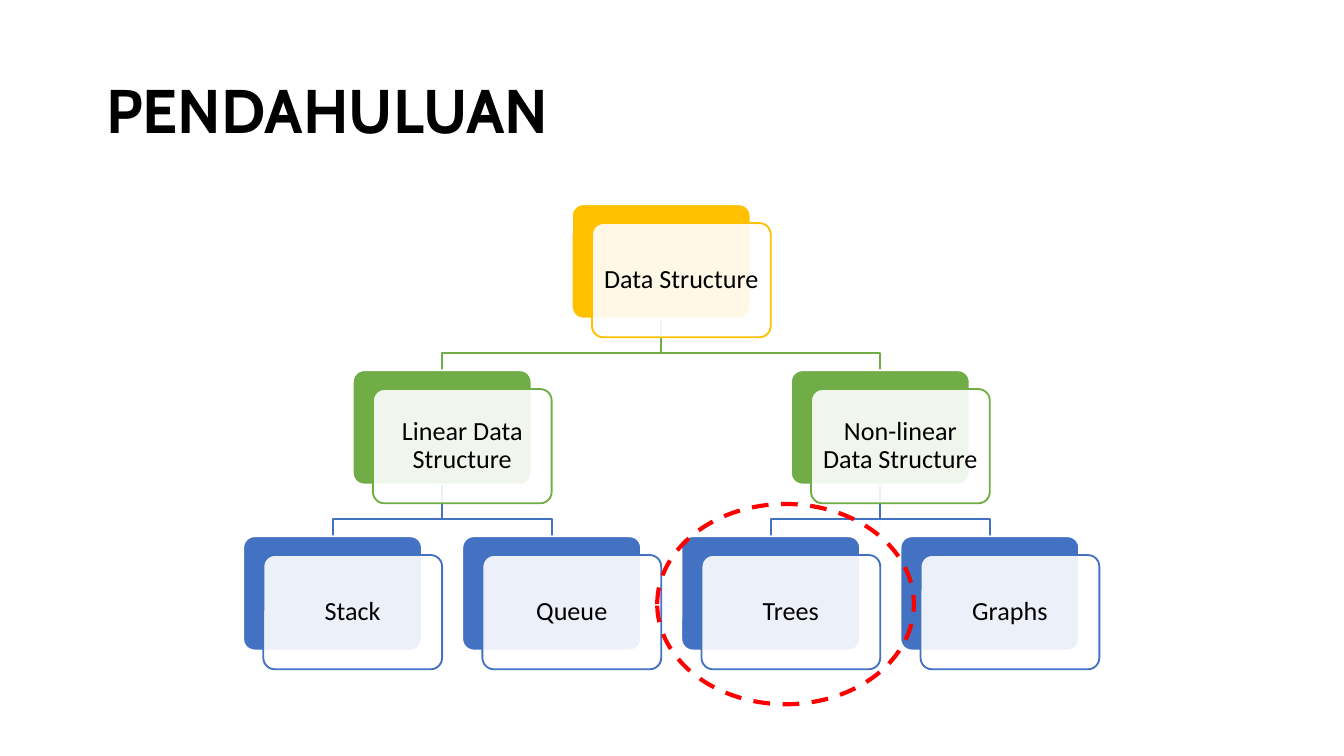
from dataclasses import dataclass
from typing import Optional

from pptx import Presentation
from pptx import util as u
from pptx.dml.color import RGBColor
from pptx.enum import dml, shapes, text
from pptx.oxml import parse_xml
from pptx.oxml.ns import nsdecls

# A 16:9 page, in inches
PAGE_WIDTH = 10
PAGE_HEIGHT = PAGE_WIDTH * 9 / 16

# Tree grid in inches: a column is half the distance between two leaves
LEFT, TOP = 1.81, 1.52
COLUMN, ROW = 1.63 / 2, 2.47 / 2
CARD_WIDTH, CARD_HEIGHT = 1.33, 0.85
OFFSET_X, OFFSET_Y = 0.15, 0.14  # front card against back card
BEND = 0.26  # drop from a parent card to the horizontal branch
LEVEL_COLORS = ["FFC000", "70AD47", "4372C3"]


@dataclass(frozen=True)
class Node:
    label: str
    column: int
    row: int
    parent: Optional[str] = None

    @property
    def left(self) -> float:
        return LEFT + self.column * COLUMN

    @property
    def top(self) -> float:
        return TOP + self.row * ROW

    @property
    def center(self) -> float:
        return self.left + CARD_WIDTH / 2

    @property
    def color(self) -> str:
        return LEVEL_COLORS[self.row]


NODES = [
    Node("Data Structure", 3, 0),
    Node("Linear Data Structure", 1, 1, "Data Structure"),
    Node("Stack", 0, 2, "Linear Data Structure"),
    Node("Queue", 2, 2, "Linear Data Structure"),
    Node("Non-linear Data Structure", 5, 1, "Data Structure"),
    Node("Trees", 4, 2, "Non-linear Data Structure"),
    Node("Graphs", 6, 2, "Non-linear Data Structure"),
]


def rgb(color: str) -> RGBColor:
    return RGBColor.from_string(color)


def set_line(shape, color: str, width: float = 1) -> None:
    shape.shadow.inherit = False
    shape.line.color.rgb = rgb(color)
    shape.line.width = u.Pt(width)


def add_span(para, words: str, font: str, size: float, bold: bool = False) -> None:
    span = para.add_run()
    span.text = words
    span.font.name = font
    span.font.size = u.Pt(size)
    span.font.bold = bold
    span.font.color.rgb = rgb("000000")


def add_branch(page, parent: Node, child: Node) -> None:
    start = parent.top + CARD_HEIGHT
    points = [
        (parent.center, start),
        (parent.center, start + BEND),
        (child.center, start + BEND),
        (child.center, child.top),
    ]
    points = [(u.Inches(x), u.Inches(y)) for x, y in points]
    builder = page.shapes.build_freeform(*points[0])
    builder.add_line_segments(points[1:], close=False)
    branch = builder.convert_to_shape()
    branch.fill.background()
    set_line(branch, child.color)


def add_card(page, left: float, top: float, fill: str, line: str):
    card = page.shapes.add_shape(
        shapes.MSO_SHAPE.ROUNDED_RECTANGLE,
        u.Inches(left), u.Inches(top), u.Inches(CARD_WIDTH), u.Inches(CARD_HEIGHT))
    card.adjustments[0] = 0.1
    card.fill.solid()
    card.fill.fore_color.rgb = rgb(fill)
    set_line(card, line)
    return card


def add_node(page, node: Node) -> None:
    add_card(page, node.left, node.top, node.color, "FFFFFF")
    front = add_card(page, node.left + OFFSET_X, node.top + OFFSET_Y, "FFFFFF", node.color)
    fill_color = front.fill._xPr.find(".//{*}solidFill/{*}srgbClr")
    fill_color.append(parse_xml(f'<a:alpha {nsdecls("a")} val="90000"/>'))

    frame = front.text_frame
    frame.word_wrap = True
    frame.vertical_anchor = text.MSO_ANCHOR.MIDDLE
    frame.margin_left = frame.margin_right = u.Inches(0.06)
    frame.margin_top = frame.margin_bottom = u.Inches(0.06)
    para = frame.paragraphs[0]
    para.alignment = text.PP_ALIGN.CENTER
    para.line_spacing = 0.9
    add_span(para, node.label, "Calibri", 14)


def add_title(page, words: str) -> None:
    box = page.shapes.title
    box.left, box.top = u.Inches(0.69), u.Inches(0.3)
    box.width, box.height = u.Inches(8.62), u.Inches(1.09)
    frame = box.text_frame
    frame.auto_size = text.MSO_AUTO_SIZE.NONE
    frame.vertical_anchor = text.MSO_ANCHOR.MIDDLE
    para = frame.paragraphs[0]
    para.alignment = text.PP_ALIGN.LEFT
    para.line_spacing = 0.9
    add_span(para, words, "Cabin", 33, bold=True)


def add_highlight(page) -> None:
    ring = page.shapes.add_shape(
        shapes.MSO_SHAPE.OVAL,
        u.Inches(4.89), u.Inches(3.75), u.Inches(1.91), u.Inches(1.49))
    ring.fill.background()
    set_line(ring, "FF0000", 2.25)
    ring.line.dash_style = dml.MSO_LINE.DASH


def main() -> None:
    deck = Presentation()
    deck.slide_width, deck.slide_height = u.Inches(PAGE_WIDTH), u.Inches(PAGE_HEIGHT)
    page = deck.slides.add_slide(deck.slide_layouts[5])
    add_title(page, "PENDAHULUAN")

    # Branches lie behind the cards
    by_label = {node.label: node for node in NODES}
    for node in NODES:
        if node.parent:
            add_branch(page, by_label[node.parent], node)
    for node in NODES:
        add_node(page, node)

    # Ring around the topic of the lesson
    add_highlight(page)
    deck.save("out.pptx")


if __name__ == "__main__":
    main()
